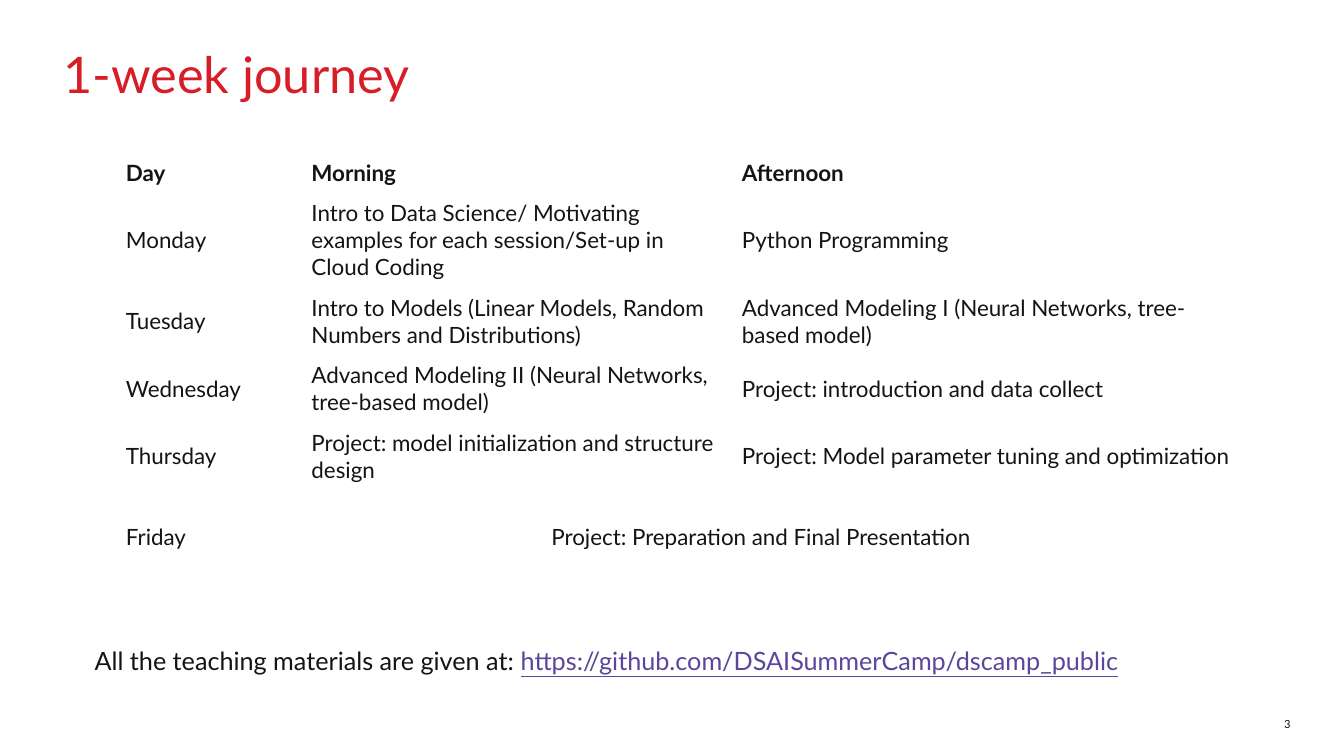
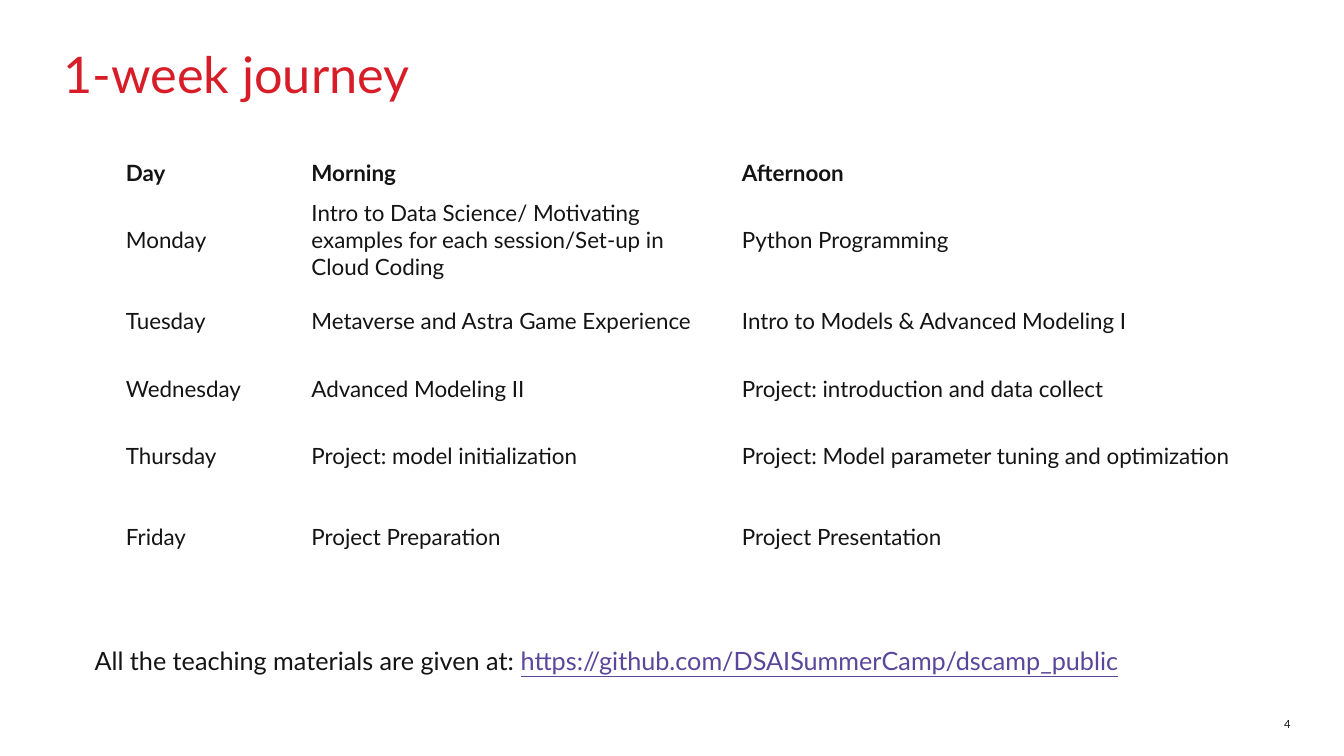
"""Build two slides that show the week plan of a data science camp."""
from pptx import Presentation
from pptx.dml.color import RGBColor
from pptx.enum.text import MSO_ANCHOR, PP_ALIGN

PX = 9144
TOP, MID, LOW = MSO_ANCHOR.TOP, MSO_ANCHOR.MIDDLE, MSO_ANCHOR.BOTTOM
LEFT, RIGHT = PP_ALIGN.LEFT, PP_ALIGN.RIGHT
RED = RGBColor(0xD7, 0x1E, 0x28)
INK = RGBColor(0x14, 0x14, 0x14)
LINK = RGBColor(0x5A, 0x46, 0x9B)
WHITE = RGBColor(0xFF, 0xFF, 0xFF)

HEAD = {"size": 36, "color": RED}
NUM = {"size": 8, "color": INK}
BODY = {"size": 16, "color": INK, "bold": False}
BOLD = {**BODY, "bold": True}
NOTE = {"size": 18, "color": INK}
URL = {**NOTE, "color": LINK, "underline": True}

COLS = [184, 427, 521]
ROWS = [40, 94, 67, 67, 67, 94]
PAD = {"margin_left": 14, "margin_top": 6, "margin_right": 14, "margin_bottom": 6}
FLAT = dict.fromkeys(PAD, 0)

TOPS = ["Day", "Morning", "Afternoon"]
MON = [
    "Monday",
    "Intro to Data Science/ Motivating examples for each session/Set-up in Cloud Coding",
    "Python Programming",
]
COLLECT = "Project: introduction and data collect"
TUNE = "Project: Model parameter tuning and optimization"
PLANS = {
    3: [
        TOPS,
        MON,
        [
            "Tuesday",
            "Intro to Models (Linear Models, Random Numbers and Distributions)",
            "Advanced Modeling I (Neural Networks, tree-based model)",
        ],
        ["Wednesday", "Advanced Modeling II (Neural Networks, tree-based model)", COLLECT],
        ["Thursday", "Project: model initialization and structure design", TUNE],
        ["Friday", "Project: Preparation and Final Presentation"],
    ],
    4: [
        TOPS,
        MON,
        ["Tuesday", "Metaverse and Astra Game Experience", "Intro to Models & Advanced Modeling I"],
        ["Wednesday", "Advanced Modeling II", COLLECT],
        ["Thursday", "Project: model initialization", TUNE],
        ["Friday", "Project Preparation", "Project Presentation"],
    ],
}


def write(para, text, style):
    """Add one run of text in the given style."""
    run = para.add_run()
    run.text = text
    run.font.name = "Lato"
    for key, val in style.items():
        if key == "color":
            run.font.color.rgb = val
        else:
            setattr(run.font, key, val * 12700 if key == "size" else val)


def label(slide, area, pads, anchor, align, runs):
    """Add a text box that holds one paragraph."""
    frame = slide.shapes.add_textbox(*[n * PX for n in area]).text_frame
    frame.word_wrap = True
    frame.vertical_anchor = anchor
    for key, val in pads.items():
        setattr(frame, key, val * PX)
    para = frame.paragraphs[0]
    para.alignment = align
    for text, style in runs:
        write(para, text, style)
    return para


deck = Presentation()
deck.slide_width, deck.slide_height = 1333 * PX, 750 * PX

for page, plan in PLANS.items():
    slide = deck.slides.add_slide(deck.slide_layouts[6])
    title = label(slide, (53, 50, 800, 625), {**FLAT, "margin_left": 10},
                  TOP, LEFT, [("1-week journey", HEAD)])
    title.line_spacing = 0.9
    label(slide, (1227, 700, 53, 25), FLAT, LOW, RIGHT, [(str(page), NUM)])

    area = (111, 151, sum(COLS), sum(ROWS))
    table = slide.shapes.add_table(len(ROWS), len(COLS), *[n * PX for n in area]).table
    table.first_row = table.horz_banding = False
    for col, wide in zip(table.columns, COLS):
        col.width = wide * PX
    for row, high in zip(table.rows, ROWS):
        row.height = high * PX
    for r, texts in enumerate(plan):
        for c, text in enumerate(texts):
            cell = table.cell(r, c)
            cell.fill.solid()
            cell.fill.fore_color.rgb = WHITE
            cell.vertical_anchor = MID
            for key, val in PAD.items():
                setattr(cell, key, val * PX)
            write(cell.text_frame.paragraphs[0], text, BODY if r else BOLD)
        if len(texts) < len(COLS):
            cell.merge(table.cell(r, len(COLS) - 1))
            cell.margin_left = 252 * PX

    label(slide, (84, 635, 1058, 40), {}, TOP, LEFT, [
        ("All the teaching materials are given at: ", NOTE),
        ("https://github.com/DSAISummerCamp/dscamp_public", URL),
    ])

deck.save("out.pptx")
